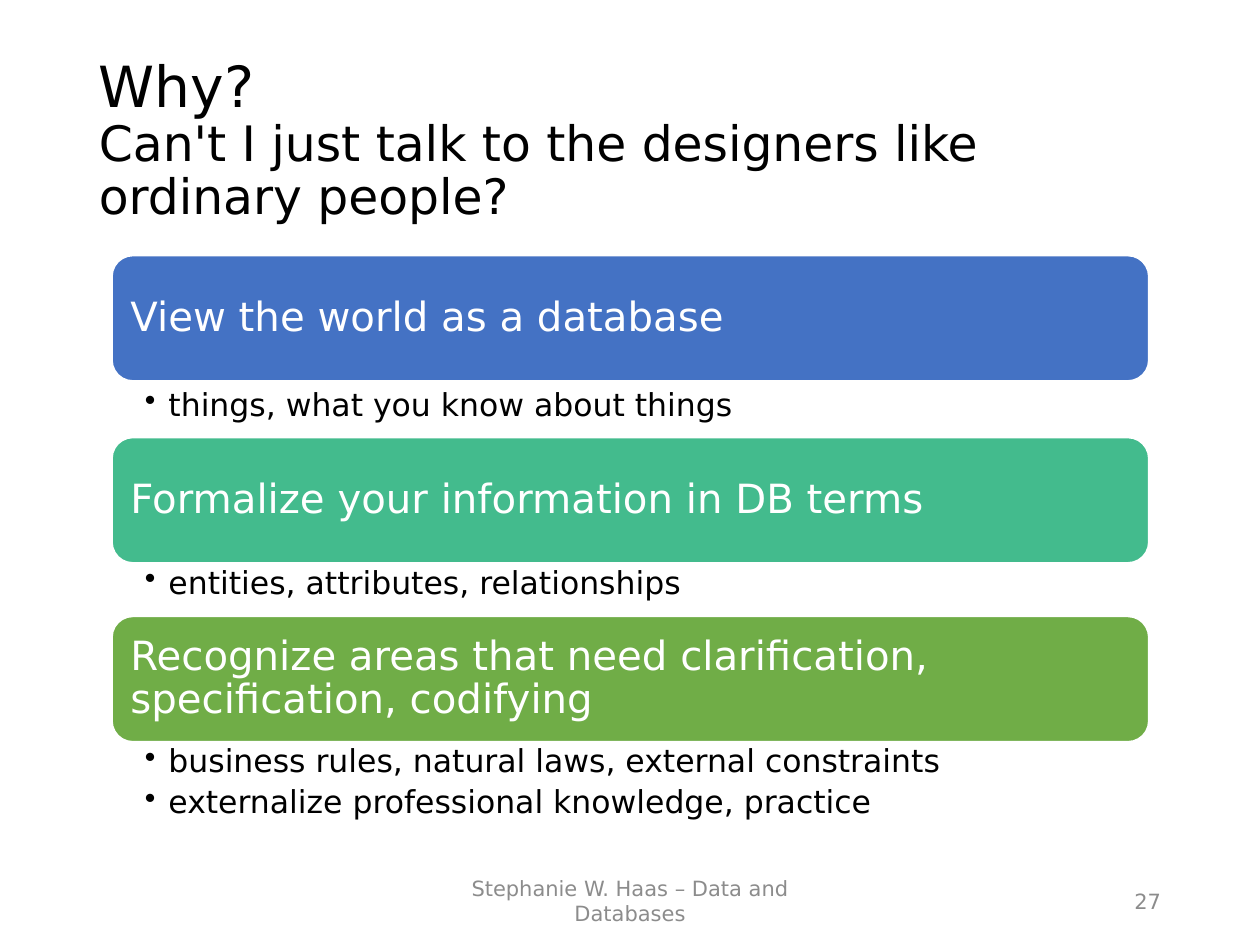
from dataclasses import dataclass

from lxml import etree
from pptx import Presentation, util as u
from pptx.dml.color import RGBColor
from pptx.enum import shapes, text
from pptx.oxml import ns

Pt = u.Pt
FONT = "DejaVu Sans"
COLORS = {"black": "000000", "white": "FFFFFF", "gray": "8C8C8C",
          "blue": "4472C4", "teal": "43BB8D", "green": "70AD47"}
MIDDLE = text.MSO_ANCHOR.MIDDLE
LEFT, CENTER, RIGHT = text.PP_ALIGN.LEFT, text.PP_ALIGN.CENTER, text.PP_ALIGN.RIGHT

BAR_LEFT, BAR_WIDTH, BAR_HEIGHT = 64, 592.5, 71.7
BULLET_INDENT = 13.5


@dataclass
class Section:
    heading: str
    details: list[str]
    color: str
    top: float
    detail_top: float
    detail_height: float


@dataclass
class Label:
    text: str
    left: float
    width: float
    align: text.PP_ALIGN


SECTIONS = [
    Section("View the world as a database",
            ["things, what you know about things"], "blue", 146, 220, 30),
    Section("Formalize your information in DB terms",
            ["entities, attributes, relationships"], "teal", 250, 321.7, 30),
    Section("Recognize areas that need clarification, specification, codifying",
            ["business rules, natural laws, external constraints",
             "externalize professional knowledge, practice"],
            "green", 352.2, 423.9, 49),
]
FOOTER = [Label("Stephanie W. Haas – Data and Databases", 238.5, 243, CENTER),
          Label("27", 508.5, 162, RIGHT)]


def rgb(name: str) -> RGBColor:
    return RGBColor.from_string(COLORS[name])


def set_attrs(obj, formats: dict) -> None:
    for name, value in formats.items():
        setattr(obj, name, value)


def add_run(p, content: str, size: float, color: str) -> None:
    r = p.add_run()
    r.text = content
    set_attrs(r.font, {"size": Pt(size), "name": FONT})
    r.font.color.rgb = rgb(color)


def add_box(s, left: float, top: float, width: float, height: float, **formats):
    """Add a wrapping text box and return its text frame."""
    tf = s.shapes.add_textbox(Pt(left), Pt(top), Pt(width), Pt(height)).text_frame
    set_attrs(tf, {"word_wrap": True, **formats})
    return tf


def add_bullet(p) -> None:
    pPr = p._p.get_or_add_pPr()
    pPr.set("marL", str(Pt(BULLET_INDENT)))
    pPr.set("indent", str(-Pt(BULLET_INDENT)))
    etree.SubElement(pPr, ns.qn("a:buChar")).set("char", "•")


def draw_title(s) -> None:
    p = add_box(s, 49.5, 28.8, 621, 104.4, vertical_anchor=MIDDLE).paragraphs[0]
    p.line_spacing = 0.9
    add_run(p, "Why?", 32.4, "black")
    p.add_line_break()
    add_run(p, "Can't I just talk to the designers like ordinary people?", 27.9, "black")


def draw_bar(s, section: Section) -> None:
    sp = s.shapes.add_shape(shapes.MSO_SHAPE.ROUNDED_RECTANGLE, Pt(BAR_LEFT),
                            Pt(section.top), Pt(BAR_WIDTH), Pt(BAR_HEIGHT))
    sp.shadow.inherit = False
    sp.fill.solid()
    sp.fill.fore_color.rgb = rgb(section.color)
    sp.line.color.rgb = rgb("white")
    sp.line.width = Pt(1)
    tf = sp.text_frame
    set_attrs(tf, {"word_wrap": True, "vertical_anchor": MIDDLE,
                   "margin_left": Pt(7.2), "margin_right": Pt(7.2)})
    p = tf.paragraphs[0]
    set_attrs(p, {"alignment": LEFT, "line_spacing": 0.9})
    add_run(p, section.heading, 23, "white")


def draw_details(s, section: Section) -> None:
    tf = add_box(s, BAR_LEFT, section.detail_top, BAR_WIDTH, section.detail_height,
                 margin_left=Pt(18.8), margin_right=Pt(13),
                 margin_top=Pt(2.2), margin_bottom=Pt(2.2))
    for i, detail in enumerate(section.details):
        p = tf.add_paragraph() if i else tf.paragraphs[0]
        set_attrs(p, {"line_spacing": 0.9, "space_after": Pt(4)})
        add_bullet(p)
        add_run(p, detail, 18, "black")


def draw_label(s, label: Label) -> None:
    tf = add_box(s, label.left, 500.5, label.width, 28.75, vertical_anchor=MIDDLE)
    p = tf.paragraphs[0]
    p.alignment = label.align
    add_run(p, label.text, 12, "gray")


def main() -> None:
    prs = Presentation()
    set_attrs(prs, {"slide_width": Pt(720), "slide_height": Pt(540)})
    s = prs.slides.add_slide(prs.slide_layouts[6])
    draw_title(s)
    for section in SECTIONS:
        draw_bar(s, section)
        draw_details(s, section)
    for label in FOOTER:
        draw_label(s, label)
    prs.save("out.pptx")


if __name__ == "__main__":
    main()
